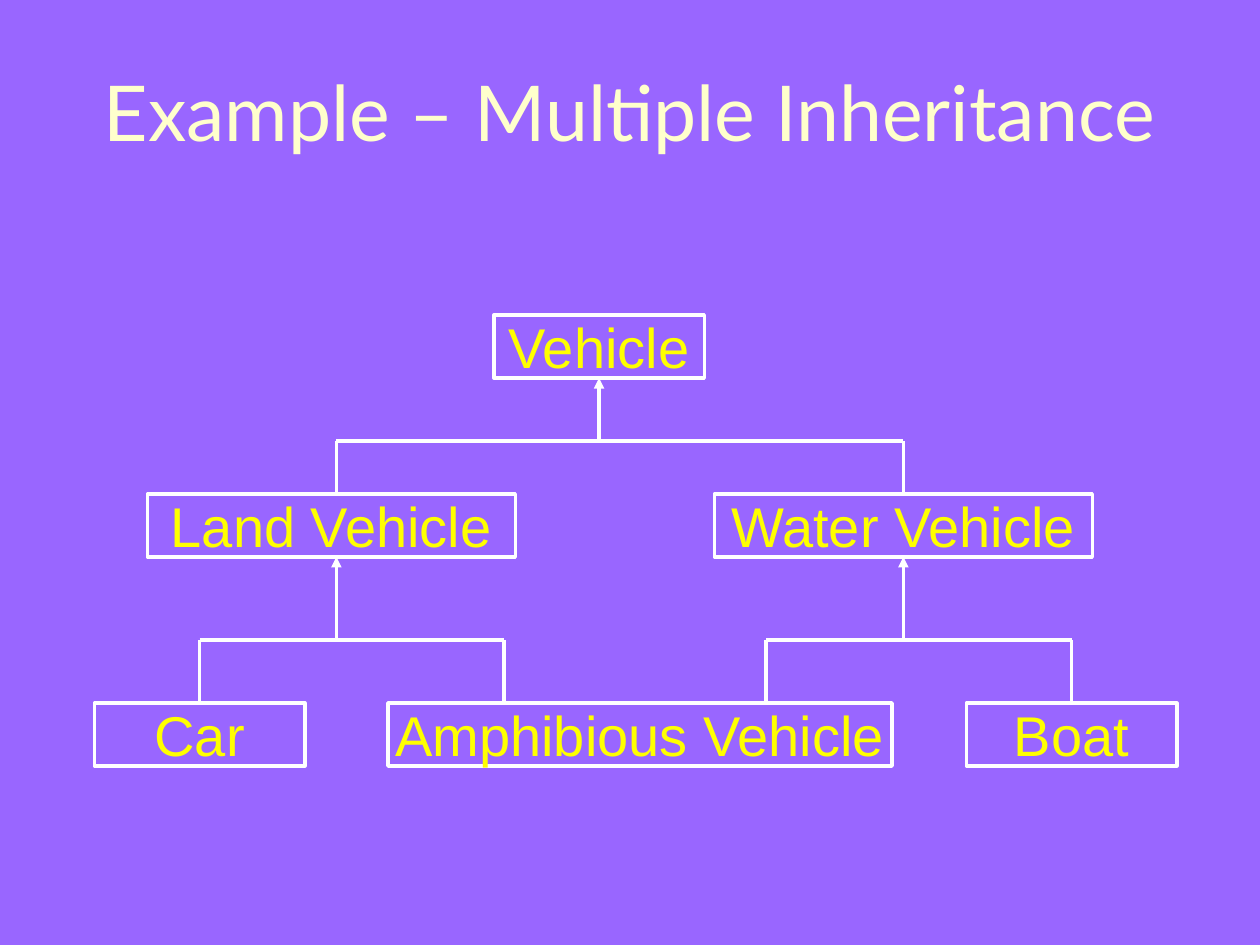
from lxml import etree
from pptx import Presentation
from pptx.dml.color import RGBColor
from pptx.enum.shapes import MSO_CONNECTOR, MSO_SHAPE
from pptx.enum.text import MSO_ANCHOR, PP_ALIGN
from pptx.oxml.ns import qn
from pptx.util import Inches, Pt

RECT, LINE = MSO_SHAPE.RECTANGLE, MSO_CONNECTOR.STRAIGHT
CENTER, MIDDLE = PP_ALIGN.CENTER, MSO_ANCHOR.MIDDLE
TOP, BOTTOM = 0, 2

# Content
TITLE = "Example – Multiple Inheritance"
TIERS = [  # top of the row, then (name, left, width)
    (2.5, [("Vehicle", 3.92, 1.67)]),
    (3.92, [("Land Vehicle", 1.17, 2.92), ("Water Vehicle", 5.67, 3)]),
    (5.58, [("Car", 0.75, 1.67), ("Amphibious Vehicle", 3.08, 4),
            ("Boat", 7.67, 1.67)]),
]
# Parent, its arrow x, rail height, children with x (None: middle of the box)
LINKS = [
    ("Vehicle", None, 3.5, [("Land Vehicle", 2.67), ("Water Vehicle", None)]),
    ("Land Vehicle", 2.67, 5.08, [("Car", None), ("Amphibious Vehicle", 4)]),
    ("Water Vehicle", None, 5.08, [("Amphibious Vehicle", 6.08), ("Boat", None)]),
]
HIGH = 0.5

THEME = {
    "back": RGBColor(0x99, 0x66, 0xFF),
    "line": RGBColor(0xFF, 0xFF, 0xFF),
    "width": Pt(2),
    "title": {"name": "Lato", "size": Pt(44), "color": RGBColor(0xFF, 0xFF, 0xCC)},
    "box": {"name": "Arial", "size": Pt(32), "color": RGBColor(0xFF, 0xFF, 0x00)},
}

deck = Presentation()
deck.slide_width, deck.slide_height = Inches(10), Inches(7.5)
slide = deck.slides.add_slide(deck.slide_layouts[5])
slide.background.fill.solid()
slide.background.fill.fore_color.rgb = THEME["back"]


def write(shape, text, style, wrap):
    frame = shape.text_frame
    frame.text = text
    frame.word_wrap, frame.vertical_anchor = wrap, MIDDLE
    para = frame.paragraphs[0]
    para.alignment = CENTER
    for key, value in style.items():
        if key == "color":
            para.font.color.rgb = value
        else:
            setattr(para.font, key, value)


def stroke(shape):
    shape.line.color.rgb = THEME["line"]
    shape.line.width = THEME["width"]


def add_box(name, left, top, width):
    box = slide.shapes.add_shape(
        RECT, Inches(left), Inches(top), Inches(width), Inches(HIGH))
    box.shadow.inherit = False
    box.fill.background()
    stroke(box)
    write(box, name, THEME["box"], False)
    return box


def add_line(x1, y1, x2, y2):
    line = slide.shapes.add_connector(LINE, x1, y1, x2, y2)
    stroke(line)
    etree.SubElement(line._element.spPr, qn("a:effectLst"))
    return line


def add_leg(box, x, rail, site):
    """Draw from the rail to a box side, joined when it meets the middle."""
    mid = box.left + box.width // 2
    end = box.top if site == TOP else box.top + box.height
    foot = mid if x is None else Inches(x)
    leg = add_line(foot, rail, foot, end)
    if x is None:
        leg.end_connect(box, site)
    return leg, foot


# Title
title = slide.shapes.title
title.left, title.top = Inches(0.33), Inches(0.25)
title.width, title.height = Inches(9.34), Inches(1.25)
write(title, TITLE, THEME["title"], True)

# Class boxes
boxes = {name: add_box(name, left, top, width)
         for top, row in TIERS for name, left, width in row}

# Inheritance lines
for parent, x, level, kids in LINKS:
    rail = Inches(level)
    arrow, _ = add_leg(boxes[parent], x, rail, BOTTOM)
    etree.SubElement(arrow.line._get_or_add_ln(), qn("a:tailEnd"), type="triangle")
    feet = [add_leg(boxes[kid], spot, rail, TOP)[1] for kid, spot in kids]
    add_line(feet[0], rail, feet[-1], rail)

deck.save("out.pptx")
